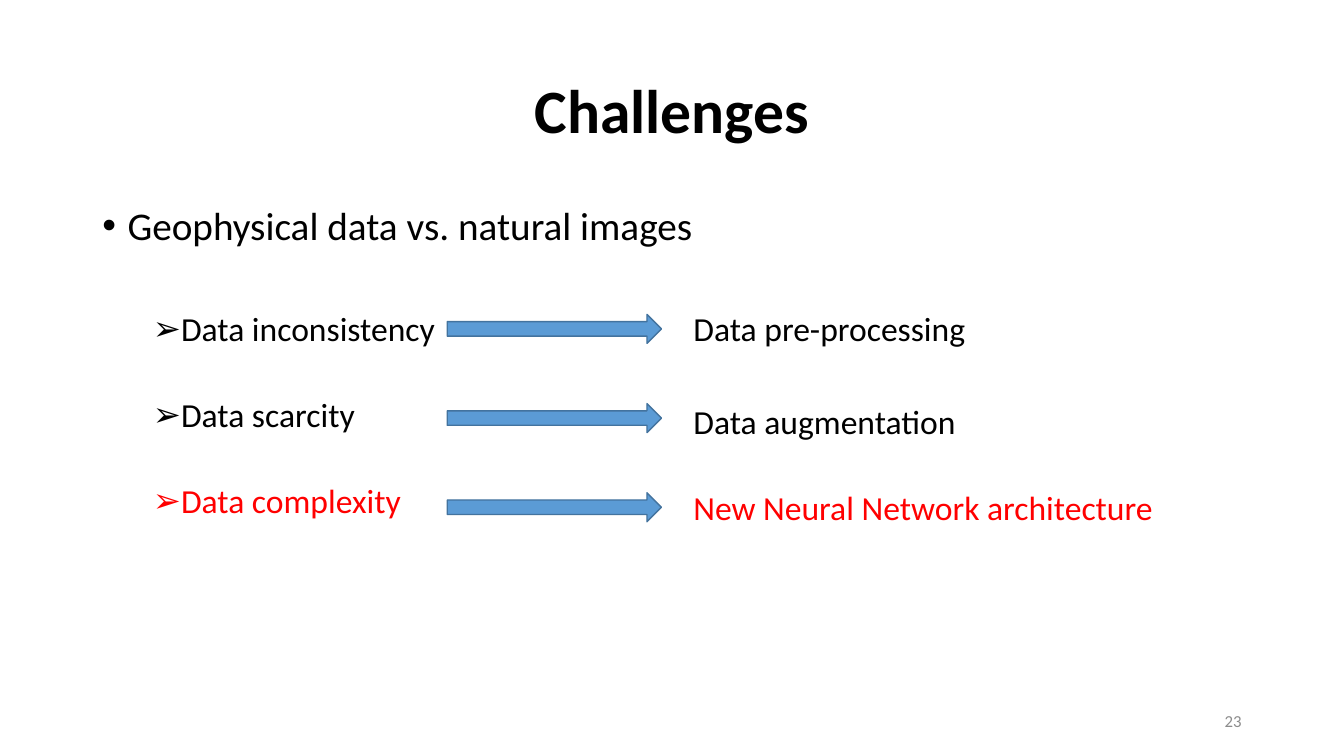
from lxml.etree import SubElement
from pptx import Presentation
from pptx.dml.color import RGBColor
from pptx.enum.shapes import MSO_SHAPE
from pptx.enum.text import MSO_ANCHOR, MSO_AUTO_SIZE, PP_ALIGN
from pptx.oxml.ns import qn
from pptx.util import Pt

# Content
TITLE = "Challenges"
TOPIC = "Geophysical data vs. natural images"
PAGE = "23"
BLACK, RED, GREY = "000000", "FF0000", "8C8C8C"
ROWS = [  # challenge, answer, colour, top of answer, width of answer
    ("Data inconsistency", "Data pre-processing", BLACK, 216.7, 222.5),
    ("Data scarcity", "Data augmentation", BLACK, 283, 222.5),
    ("Data complexity", "New Neural Network architecture", RED, 344.2, 355.7),
]
ARROW_TOP, ARROW_PITCH = 224.6, 63.7


def rgb(value):
    return RGBColor.from_string(value)


def place(sp, left, top, width, height):
    sp.left, sp.top, sp.width, sp.height = map(Pt, (left, top, width, height))


def write(p, text, size=24, color=BLACK, bold=False, align=PP_ALIGN.LEFT,
          spacing=None, before=0, bullet=None, margin=0):
    p.alignment = align
    p.space_before = Pt(before)
    if spacing:
        p.line_spacing = spacing
    if bullet:
        pPr = p._p.get_or_add_pPr()
        pPr.set("marL", str(Pt(margin)))
        pPr.set("indent", str(Pt(-18)))
        SubElement(pPr, qn("a:buFont")).set("typeface", "Arial")
        SubElement(pPr, qn("a:buChar")).set("char", bullet)
    r = p.add_run()
    r.text = text
    r.font.name = "Calibri"
    r.font.size = Pt(size)
    r.font.bold = bold
    r.font.color.rgb = rgb(color)


def add_text(s, box, text, anchor=MSO_ANCHOR.TOP, **fmt):
    tf = s.shapes.add_textbox(*map(Pt, box)).text_frame
    tf.word_wrap = True
    tf.vertical_anchor = anchor
    write(tf.paragraphs[0], text, **fmt)


prs = Presentation()
prs.slide_width, prs.slide_height = Pt(960), Pt(540)
s = prs.slides.add_slide(prs.slide_layouts[1])

# Title
title, body = s.shapes.title, s.placeholders[1]
place(title, 66, 28.75, 828, 104.4)
title.text_frame.auto_size = MSO_AUTO_SIZE.NONE
title.text_frame.vertical_anchor = MSO_ANCHOR.MIDDLE
write(title.text_frame.paragraphs[0], TITLE, size=44, bold=True,
      align=PP_ALIGN.CENTER, spacing=0.9)

# Topic and list of challenges
place(body, 66, 143.75, 828, 342.6)
tf = body.text_frame
tf.auto_size = MSO_AUTO_SIZE.NONE
write(tf.paragraphs[0], TOPIC, size=28, spacing=0.9, bullet="•", margin=18)
for i, (challenge, _, color, _, _) in enumerate(ROWS):
    p = tf.add_paragraph()
    p.level = 1
    write(p, challenge, color=color, spacing=0.9, bullet="➢", margin=54,
          before=35.5 if i else 45.7)

# Arrows and answers
for i, (_, answer, color, top, width) in enumerate(ROWS):
    arrow = s.shapes.add_shape(MSO_SHAPE.RIGHT_ARROW, Pt(319.5),
                               Pt(ARROW_TOP + i * ARROW_PITCH), Pt(153), Pt(20.7))
    arrow.shadow.inherit = False
    arrow.fill.solid()
    arrow.fill.fore_color.rgb = rgb("5B9BD5")
    arrow.line.color.rgb = rgb("43739E")
    arrow.line.width = Pt(1)
    add_text(s, (488.2, top, width, 36.3), answer, color=color)

# Page number
add_text(s, (678, 500.5, 216, 28.75), PAGE, anchor=MSO_ANCHOR.MIDDLE,
         size=12, color=GREY, align=PP_ALIGN.RIGHT)

prs.save("out.pptx")
